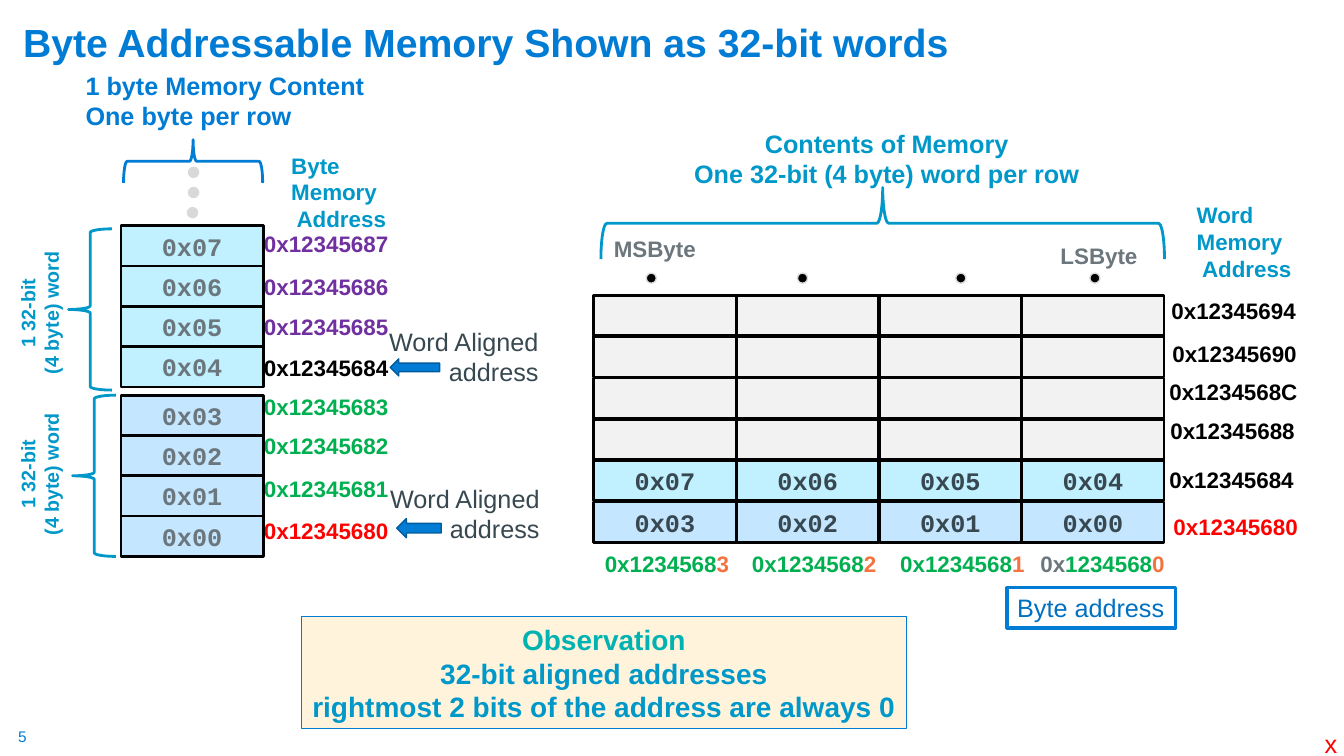
"""Build a slide that shows byte addressable memory as 32-bit words."""
from pptx import Presentation
from pptx.dml.color import RGBColor
from pptx.enum.shapes import MSO_SHAPE
from pptx.enum.text import MSO_ANCHOR, PP_ALIGN
from pptx.util import Inches, Pt

RECT, OVAL = MSO_SHAPE.RECTANGLE, MSO_SHAPE.OVAL
BRACE, ARROW = MSO_SHAPE.RIGHT_BRACE, MSO_SHAPE.DOWN_ARROW
LEFT, MID, RIGHT = PP_ALIGN.LEFT, PP_ALIGN.CENTER, PP_ALIGN.RIGHT
CENTER, BOTTOM = MSO_ANCHOR.MIDDLE, MSO_ANCHOR.BOTTOM

BLUE = RGBColor(0x00, 0x7C, 0xD5)
NAVY = RGBColor(0x00, 0x5C, 0x9E)
LINK = RGBColor(0x00, 0x70, 0xC0)
CYAN = RGBColor(0x00, 0x98, 0xC9)
TEAL = RGBColor(0x00, 0xB2, 0xB1)
CREAM = RGBColor(0xFF, 0xF4, 0xDB)
SKY = RGBColor(0xC4, 0xE6, 0xFF)
AQUA = RGBColor(0xC1, 0xF0, 0xFF)
PALE = RGBColor(0xF2, 0xF2, 0xF2)
SILVER = RGBColor(0xD9, 0xD9, 0xD9)
GRAY = RGBColor(0x6B, 0x76, 0x7D)
SLATE = RGBColor(0x38, 0x48, 0x51)
BLACK = RGBColor(0x00, 0x00, 0x00)
RED = RGBColor(0xFF, 0x00, 0x00)
GREEN = RGBColor(0x00, 0xB0, 0x50)
PURPLE = RGBColor(0x70, 0x30, 0xA0)
ORANGE = RGBColor(0xF3, 0x74, 0x40)

TITLE = "Byte Addressable Memory Shown as 32-bit words"
NOTE = [
    [("Observation", TEAL)],
    "32-bit aligned addresses",
    "rightmost 2 bits of the address are always 0",
]
BYTES = [
    ("0x07", "0x12345687", PURPLE, 2.23),
    ("0x06", "0x12345686", PURPLE, 2.66),
    ("0x05", "0x12345685", PURPLE, 3.05),
    ("0x04", "0x12345684", BLACK, 3.46),
    ("0x03", "0x12345683", GREEN, 3.85),
    ("0x02", "0x12345682", GREEN, 4.24),
    ("0x01", "0x12345681", GREEN, 4.66),
    ("0x00", "0x12345680", RED, 5.08),
]
EMPTY = [""] * 4
WORDS = [
    (EMPTY, PALE, "0x12345694", BLACK, 11.52, 2.9),
    (EMPTY, PALE, "0x12345690", BLACK, 11.53, 3.32),
    (EMPTY, PALE, "0x1234568C", BLACK, 11.5, 3.7),
    (EMPTY, PALE, "0x12345688", BLACK, 11.51, 4.09),
    (["0x07", "0x06", "0x05", "0x04"], AQUA, "0x12345684", BLACK, 11.5, 4.57),
    (["0x03", "0x02", "0x01", "0x00"], SKY, "0x12345680", RED, 11.54, 5.04),
]
FEET = [
    (5.9, [("0x1234568", GREEN), ("3", ORANGE)]),
    (7.36, [("0x1234568", GREEN), ("2", ORANGE)]),
    (8.83, [("0x1234568", GREEN), ("1", ORANGE)]),
    (10.22, [("0x", GRAY), ("1234568", GREEN), ("0", ORANGE)]),
]
LABELS = [
    ((0.75, 0.64, 2.99, 0.71), ["1 byte Memory Content", "One byte per row"], 18, BLUE, LEFT),
    ((6.61, 1.22, 4.37, 0.71),
     ["Contents of Memory", "One 32-bit (4 byte) word per row"], 18, CYAN, MID),
    ((2.79, 1.45, 1.15, 0.91), ["Byte", "Memory", " Address"], 16, CYAN, LEFT),
    ((11.77, 1.94, 1.15, 0.91), ["Word", "Memory", " Address"], 16, CYAN, LEFT),
    ((5.99, 2.28, 1.02, 0.37), ["MSByte"], 16, GRAY, LEFT),
    ((10.42, 2.35, 0.97, 0.37), ["LSByte"], 16, GRAY, LEFT),
]
SPANS = [(0.68, 2.27, 2.82), (0.72, 3.92, 4.42)]
ALIGNED = [
    ((3.43, 3.18, 2.01, 0.71), (4.03, 3.4, 0.17, 0.49)),
    ((3.44, 4.74, 2.01, 0.71), (4.06, 5.02, 0.19, 0.44)),
]
TOPS = [(1.87, 1.66), (1.87, 1.86), (1.86, 2.06)]
HEADS = [6.41, 7.91, 9.48, 10.81]

CELL_W, CELL_H, DOT = 1.41, 0.4, 0.1
BYTE_X, BYTE_Y, GAP = 1.2, 2.24, 0.08
WORD_X, WORD_Y, WORD_W, COLS, ROW = 5.89, 2.93, 5.66, 4, 0.41
ADDR_X, ADDR_W, ADDR_H = 2.52, 1.5, 0.37

deck = Presentation()
deck.slide_width, deck.slide_height = Inches(13.33), Inches(7.5)
slide = deck.slides.add_slide(deck.slide_layouts[6])


def draw(kind, frame, fill=None, line=BLACK, width=2, turn=0):
    shape = slide.shapes.add_shape(kind, *map(Inches, frame))
    shape.shadow.inherit = False
    shape.rotation = turn
    if fill is None:
        shape.fill.background()
    else:
        shape.fill.solid()
        shape.fill.fore_color.rgb = fill
    shape.line.color.rgb = line
    shape.line.width = Pt(width)
    return shape


def write(shape, lines, size, color, align=LEFT, bold=True, face="Arial", wrap=False):
    frame = shape.text_frame
    frame.word_wrap = wrap
    frame.vertical_anchor = CENTER
    for i, line in enumerate(lines):
        para = frame.add_paragraph() if i else frame.paragraphs[0]
        para.alignment = align
        para.font.size, para.font.bold, para.font.name = Pt(size), bold, face
        para.font.color.rgb = color
        if isinstance(line, str):
            para.add_run().text = line
            continue
        for text, tint in line:
            run = para.add_run()
            run.text = text
            run.font.color.rgb = tint
    return frame


def label(frame, lines, *style, turn=0, **more):
    box = slide.shapes.add_textbox(*map(Inches, frame))
    box.rotation = turn
    return write(box, lines, *style, **more)


def cell(x, y, text, fill, color):
    box = draw(RECT, (x, y, CELL_W, CELL_H), fill)
    if text:
        write(box, [text], 18, color, MID, face="Courier New", wrap=True)


def address(x, y, line, color):
    label((x, y, ADDR_W, ADDR_H), [line], 16, color)


head = label((0.13, 0.05, 13.09, 0.65), [TITLE], 28, BLUE, wrap=True)
head.vertical_anchor = BOTTOM
head.paragraphs[0].line_spacing = 0.9
page = label((0.18, 7.21, 0.19, 0.19), ["5"], 11, BLUE, bold=False)
page.margin_left = page.margin_right = page.margin_top = page.margin_bottom = 0
label((13.04, 7.18, 0.33, 0.4), ["x"], 18, RED, bold=False)
write(draw(RECT, (2.99, 6.12, 6, 1.11), CREAM, BLUE, 0.75), NOTE, 20, CYAN, MID, wrap=True)

for i, (value, place, color, y) in enumerate(BYTES):
    address(ADDR_X, y, place, color)
    cell(BYTE_X, BYTE_Y + i * CELL_H + i // 4 * GAP, value, SKY if i > 3 else AQUA, GRAY)

for i, (values, fill, place, color, x, y) in enumerate(WORDS):
    for j, value in enumerate(values):
        cell(WORD_X + j * WORD_W / COLS, WORD_Y + i * ROW, value, fill, SLATE)
    address(x, y, place, color)

for x, runs in FEET:
    address(x, 5.41, runs, GREEN)
for frame, lines, size, color, align in LABELS:
    label(frame, lines, size, color, align)

for x, y, mid in SPANS:
    draw(BRACE, (x, y, 0.43, 1.6), line=CYAN, turn=180)
    label((-0.41, mid, 1.6, 0.57), ["1 32-bit", "(4 byte) word"], 14, CYAN, MID,
          turn=270, wrap=True)
draw(BRACE, (1.7, 0.91, 0.43, 1.38), line=BLUE, turn=270)
draw(BRACE, (8.4, -0.58, 0.71, 5.59), line=CYAN, turn=270)

for box, arrow in ALIGNED:
    label(box, ["Word Aligned address"], 18, SLATE, RIGHT, bold=False, wrap=True)
    draw(ARROW, arrow, BLUE, NAVY, 1, 90)

for x, y in TOPS:
    draw(OVAL, (x, y, DOT, DOT), SILVER, SILVER, 1)
for x in HEADS:
    draw(OVAL, (x, 2.71, DOT, DOT), BLACK, SILVER, 1)

write(draw(RECT, (9.99, 5.83, 1.67, 0.4), line=BLUE, width=2.5),
      ["Byte address"], 18, LINK, bold=False)

deck.save("out.pptx")
